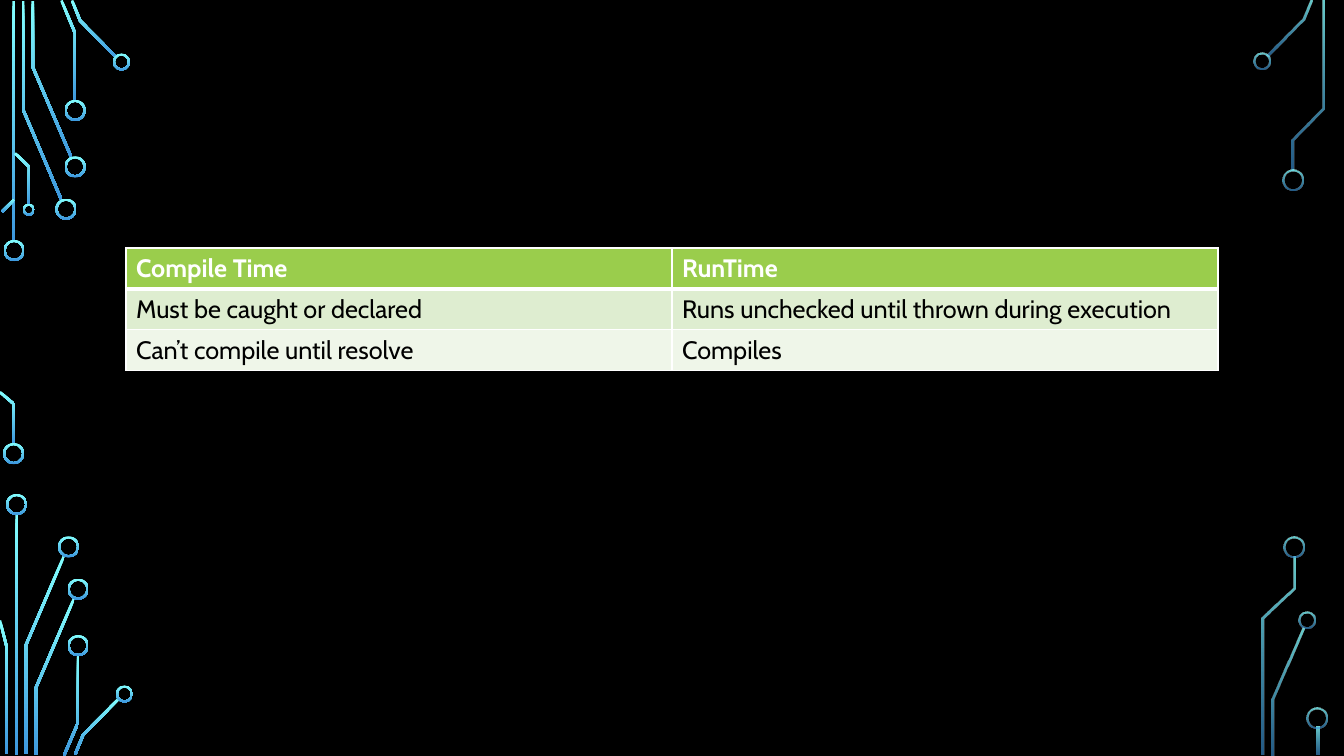
from math import hypot

from lxml.etree import SubElement
from pptx import Presentation
from pptx.dml.color import RGBColor
from pptx.enum.shapes import MSO_SHAPE as Preset
from pptx.oxml.ns import qn
from pptx.util import Inches, Pt

CELL = Inches(0.01)
COLUMNS, ROWS = 1333, 750
TRACE_WIDTH = 2.6
RING_WIDTH = 2
FONT = "Cabin"

BLACK = RGBColor(0x00, 0x00, 0x00)
WHITE = RGBColor(0xFF, 0xFF, 0xFF)
AQUA = RGBColor(0x82, 0xFF, 0xFF)
BLUE = RGBColor(0x3D, 0x97, 0xDE)
GREEN = RGBColor(0x9A, 0xCD, 0x4C)
PALE_GREEN = RGBColor(0xDE, 0xED, 0xD0)
FAINT_GREEN = RGBColor(0xEF, 0xF6, 0xE9)

SOLID = (100, 100)
FADED = (80, 60)

CIRCUITS = [
    {
        "box": (0, 0),
        "opacity": SOLID,
        "traces": [
            [(13.5, 1), (13.5, 240)],
            [(23, 1), (23, 109), (61, 198.5)],
            [(32.5, 1), (32.5, 66.5), (71, 156.5)],
            [(61, 0.5), (74.5, 33), (74.5, 100)],
            [(71.5, 0.5), (79.5, 20.5), (115.5, 57)],
            [(2, 210), (14, 198)],
            [(15, 152), (29, 165.5), (29, 203)],
        ],
        "nodes": [(14, 248.5, 21), (65.5, 207.5, 21), (74.5, 165.5, 21),
                  (74.5, 109.5, 21), (120.5, 61.5, 17), (28.5, 208, 12)],
    },
    {
        "box": (0, 388),
        "opacity": SOLID,
        "traces": [[(0, 1), (14, 13), (14, 53)]],
        "nodes": [(13.5, 62, 21)],
    },
    {
        "box": (0, 490),
        "opacity": SOLID,
        "traces": [
            [(16.5, 20), (16.5, 259)],
            [(25.5, 258), (25.5, 150.5), (63.5, 61.5)],
            [(0, 125.5), (6.5, 151), (6.5, 258)],
            [(35.5, 259), (35.5, 192.5), (73.5, 103.5)],
            [(63.5, 259.5), (77.5, 227), (77.5, 160)],
            [(74.5, 258.5), (82.5, 239), (118, 203)],
        ],
        "nodes": [(16.5, 10.5, 21), (68, 52.5, 21), (77.5, 94.5, 21),
                  (77.5, 150.5, 21), (123.5, 198.5, 17)],
    },
    {
        "box": (1243, 0),
        "opacity": FADED,
        "traces": [
            [(57.5, 0.5), (49.5, 19.5), (14, 55.5)],
            [(39, 169), (39, 138.5), (69.5, 107.5), (69.5, 1)],
        ],
        "nodes": [(8.5, 60.5, 17), (39.5, 178.5, 21)],
    },
    {
        "box": (1243, 532),
        "opacity": FADED,
        "traces": [
            [(19.5, 217), (19.5, 161.5), (50, 91.5)],
            [(9.5, 217), (9.5, 81.5), (40.5, 51.5), (40.5, 20)],
            [(64.5, 189), (64.5, 217)],
        ],
        "nodes": [(53.5, 83.5, 17), (40, 10.5, 21), (63.5, 180, 21)],
    },
]

COMPARISON = [
    ("Compile Time", "RunTime"),
    ("Must be caught or declared", "Runs unchecked until thrown during execution"),
    ("Can’t compile until resolve", "Compiles"),
]
ROW_FILLS = (GREEN, PALE_GREEN, FAINT_GREEN)


def cells(count):
    """Turn a count of grid cells into a length."""
    return round(count * CELL)


def paint_gradient(shape, opacity):
    """Fill a shape from aqua down to blue, with an opacity for each end."""
    shape.shadow.inherit = False
    shape.line.fill.background()
    shape.fill.gradient()
    shape.fill.gradient_angle = 270
    for stop, color in zip(shape.fill.gradient_stops, (AQUA, BLUE)):
        stop.color.rgb = color
    for color, percent in zip(shape.element.iter(qn("a:srgbClr")), opacity):
        if percent < 100:
            SubElement(color, qn("a:alpha"), val=str(percent * 1000))


def trace_outline(points, width):
    """Return the mitred outline of a band that follows the points."""
    normals = []
    for (x1, y1), (x2, y2) in zip(points, points[1:]):
        length = hypot(x2 - x1, y2 - y1)
        normals.append(((y1 - y2) / length, (x2 - x1) / length))
    left, right = [], []
    for (x, y), before, after in zip(points, normals[:1] + normals, normals + normals[-1:]):
        scale = width / 2 / (1 + before[0] * after[0] + before[1] * after[1])
        shift_x, shift_y = (before[0] + after[0]) * scale, (before[1] + after[1]) * scale
        left.append((x + shift_x, y + shift_y))
        right.append((x - shift_x, y - shift_y))
    return left + right[::-1]


def add_circuit(slide, box, traces, nodes, opacity):
    """Draw a group of traces and ring nodes relative to the box corner."""
    left, top = box
    for points in traces:
        start, *others = [(cells(left + x), cells(top + y))
                          for x, y in trace_outline(points, TRACE_WIDTH)]
        builder = slide.shapes.build_freeform(*start)
        builder.add_line_segments(others, close=True)
        paint_gradient(builder.convert_to_shape(), opacity)
    for x, y, size in nodes:
        ring = slide.shapes.add_shape(
            Preset.DONUT, cells(left + x - size / 2), cells(top + y - size / 2),
            cells(size), cells(size))
        ring.adjustments[0] = RING_WIDTH / size
        paint_gradient(ring, opacity)


def set_borders(cell, **widths):
    """Give a cell white borders, with widths in points by side."""
    properties = cell._tc.get_or_add_tcPr()
    for side in "LRTB":
        line = SubElement(properties, qn(f"a:ln{side}"), w=str(Pt(widths.get(side, 1))))
        fill = SubElement(line, qn("a:solidFill"))
        SubElement(fill, qn("a:srgbClr"), val=str(WHITE))


def write_text(cell, text, *, size=18, color=BLACK, bold=False):
    """Write formatted text into a cell."""
    run = cell.text_frame.paragraphs[0].add_run()
    run.text = text
    run.font.name, run.font.size, run.font.bold = FONT, Pt(size), bold
    run.font.color.rgb = color


def add_comparison(slide, box):
    """Draw the table of compile time against run time in the box."""
    frame = slide.shapes.add_table(
        len(COMPARISON), len(COMPARISON[0]), *[cells(part) for part in box])
    for row, texts in enumerate(COMPARISON):
        header = row == 0
        for column, text in enumerate(texts):
            cell = frame.table.cell(row, column)
            set_borders(cell, T=3 if row == 1 else 1, B=3 if header else 1)
            cell.fill.solid()
            cell.fill.fore_color.rgb = ROW_FILLS[row]
            write_text(cell, text, color=WHITE if header else BLACK, bold=header)


def build_slide(presentation):
    """Add the black slide with its circuits and table."""
    slide = presentation.slides.add_slide(presentation.slide_layouts[6])
    slide.background.fill.solid()
    slide.background.fill.fore_color.rgb = BLACK
    for circuit in CIRCUITS:
        add_circuit(slide, **circuit)
    add_comparison(slide, (125, 246, 1083, 122))


presentation = Presentation()
presentation.slide_width, presentation.slide_height = cells(COLUMNS), cells(ROWS)
build_slide(presentation)
presentation.save("out.pptx")
